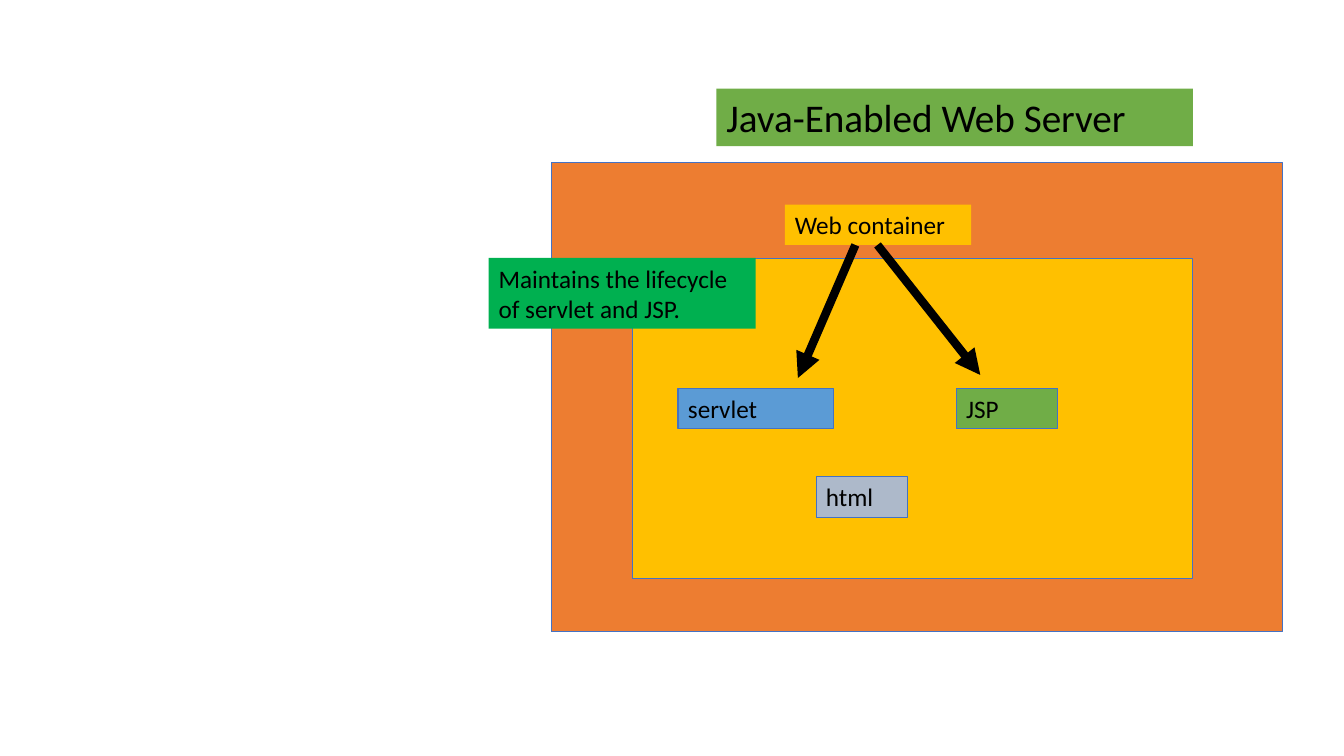
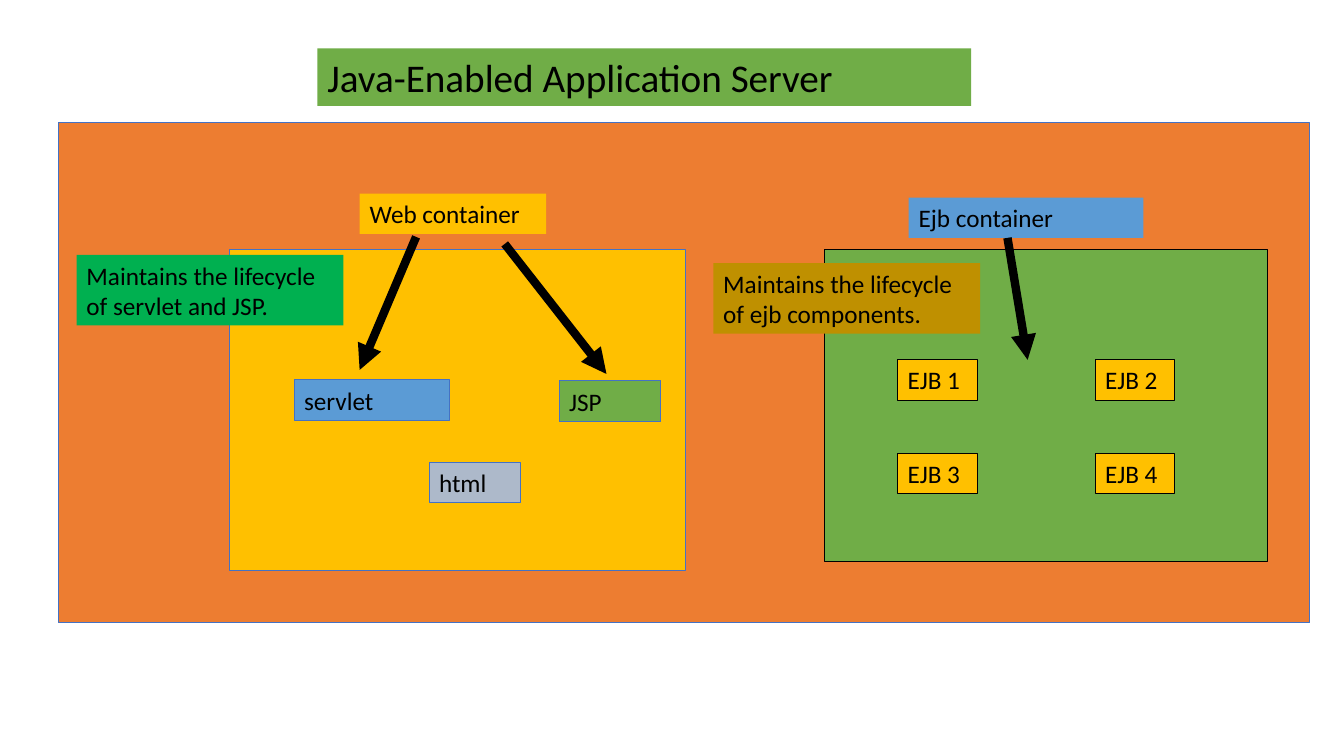
"""Build two slides on Java-enabled web and application servers."""
from lxml import etree
from pptx import Presentation
from pptx.dml.color import RGBColor
from pptx.enum import shapes, text
from pptx.oxml import ns
from pptx.util import Inches, Pt

FONT = "Calibri"
BLACK, BORDER = "000000", "4472C4"
ORANGE, YELLOW, GREEN, BLUE = "ED7D31", "FFC000", "70AD47", "5B9BD5"
GREY, EMERALD, OCHRE = "ADB9CA", "00B050", "BF9000"
LABEL_HEIGHT, NOTE_WIDTH, NOTE_HEIGHT, TITLE_HEIGHT = 0.4, 2.65, 0.7, 0.57


def style(shape, fill, line=None, words="", size=18):
    """Set fill, outline and left-aligned text of a shape."""
    shape.fill.solid()
    shape.fill.fore_color.rgb = RGBColor.from_string(fill)
    if line:
        shape.line.color.rgb = RGBColor.from_string(line)
        shape.line.width = Pt(0.75)
    else:
        shape.line.fill.background()
    if words:
        frame = shape.text_frame
        frame.text = words
        frame.word_wrap = True
        frame.auto_size = text.MSO_AUTO_SIZE.NONE
        frame.vertical_anchor = text.MSO_ANCHOR.TOP
        paragraph = frame.paragraphs[0]
        paragraph.alignment = text.PP_ALIGN.LEFT
        paragraph.font.name = FONT
        paragraph.font.size = Pt(size)
        paragraph.font.color.rgb = RGBColor.from_string(BLACK)


def add_box(slide, left, top, width, height, fill, line=None, words=""):
    """Add a flat rectangle, with text if given."""
    shape = slide.shapes.add_shape(
        shapes.MSO_SHAPE.RECTANGLE, *map(Inches, (left, top, width, height)))
    shape.shadow.inherit = False
    style(shape, fill, line, words)


web_labels = [
    ("Web container", 1.85, YELLOW, None),
    ("servlet", 1.54, BLUE, BORDER),
    ("JSP", 1.01, GREEN, BORDER),
    ("html", 0.91, GREY, BORDER),
]
web_note = "Maintains the lifecycle of servlet and JSP."

servers = [
    {
        "title": ("Java-Enabled Web Server", 7.11, 0.88, 4.73),
        "server": (5.47, 1.61, 7.26, 4.66),
        "container": (6.28, 2.56, 5.56, 3.18),
        "labels": [(7.79, 2.03), (6.73, 3.85), (9.49, 3.85), (8.1, 4.73)],
        "note": (4.85, 2.56),
        "arrows": [(8.49, 2.43, 7.92, 3.75), (8.71, 2.43, 9.73, 3.72)],
    },
    {
        "title": ("Java-Enabled Application Server", 3.15, 0.48, 6.49),
        "server": (0.58, 1.22, 12.42, 4.96),
        "container": (2.28, 2.48, 4.52, 3.18),
        "labels": [(3.57, 1.92), (2.92, 3.77), (5.55, 3.78), (4.26, 4.59)],
        "note": (0.76, 2.53),
        "arrows": [(4.13, 2.35, 3.57, 3.67), (5.01, 2.42, 6.02, 3.71),
                   (10, 2.36, 10.2, 3.57)],
    },
]

presentation = Presentation()
presentation.slide_width = Inches(13.34)
presentation.slide_height = Inches(7.5)

for server in servers:
    slide = presentation.slides.add_slide(presentation.slide_layouts[5])
    words, left, top, width = server["title"]
    title = slide.shapes.title
    title.left, title.top = Inches(left), Inches(top)
    title.width, title.height = Inches(width), Inches(TITLE_HEIGHT)
    style(title, GREEN, words=words, size=28)

    add_box(slide, *server["server"], ORANGE, BORDER)
    add_box(slide, *server["container"], YELLOW, BORDER)
    for (words, width, fill, line), (left, top) in zip(web_labels, server["labels"]):
        add_box(slide, left, top, width, LABEL_HEIGHT, fill, line, words)
    add_box(slide, *server["note"], NOTE_WIDTH, NOTE_HEIGHT, EMERALD, words=web_note)

    if server is servers[-1]:
        add_box(slide, 8.18, 2.48, 4.4, 3.09, GREEN, BLACK)
        add_box(slide, 9.02, 1.96, 2.33, LABEL_HEIGHT, BLUE, words="Ejb container")
        for index in range(4):
            row, column = divmod(index, 2)
            add_box(slide, 8.91 + 1.96 * column, 3.57 + 0.93 * row, 0.79,
                    LABEL_HEIGHT, YELLOW, BLACK, f"EJB {index + 1}")
        add_box(slide, 7.08, 2.61, NOTE_WIDTH, NOTE_HEIGHT, OCHRE,
                words="Maintains the lifecycle of ejb components.")

    for ends in server["arrows"]:
        arrow = slide.shapes.add_connector(
            shapes.MSO_CONNECTOR.STRAIGHT, *map(Inches, ends))
        arrow.line.color.rgb = RGBColor.from_string(BLACK)
        arrow.line.width = Pt(6)
        properties = arrow.element.spPr
        etree.SubElement(properties.find(ns.qn("a:ln")), ns.qn("a:tailEnd"), type="triangle")
        etree.SubElement(properties, ns.qn("a:effectLst"))

presentation.save("out.pptx")
